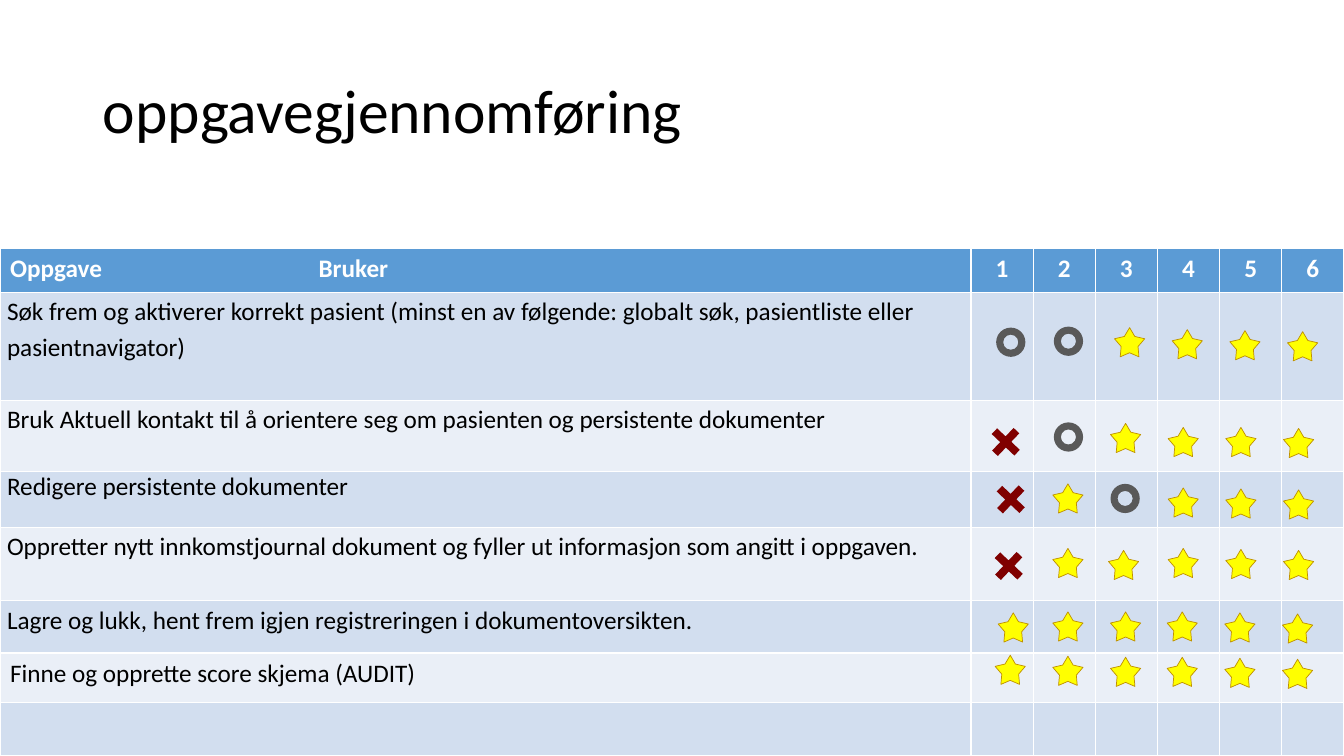
from dataclasses import dataclass

from lxml.etree import SubElement
from pptx import Presentation
from pptx.dml.color import RGBColor
from pptx.enum.shapes import MSO_SHAPE
from pptx.enum.text import MSO_ANCHOR, PP_ALIGN
from pptx.oxml.ns import qn
from pptx.util import Inches, Pt


@dataclass(frozen=True)
class Theme:
    font: str = "Calibri"
    title: int = 44
    body: int = 18
    ink: str = "000000"
    white: str = "FFFFFF"
    head: str = "5B9BD5"
    bands: tuple = ("EAEFF7", "D2DEEF")
    star: str = "FFFF00"
    edge: str = "BF9000"
    ring: str = "595959"
    cross: str = "800000"


THEME = Theme()
WIDE, HIGH = 13.33, 7.5
USERS = 6
TASK_WIDE = 9.63
TABLE_TOP = 2.46
ROWS = (0.44, 1.07, 0.71, 0.55, 0.73, 0.52, 0.49, 0.53)
MARK_LEFT, MARK_STEP = 9.87, 0.572

# Text, line spacing, side inset, top inset
TASKS = (
    ("Søk frem og aktiverer korrekt pasient (minst en av følgende: "
     "globalt søk, pasientliste eller pasientnavigator)", 1.15, 0.07, 0),
    ("Bruk Aktuell kontakt til å orientere seg om pasienten og "
     "persistente dokumenter", 1.15, 0.07, 0),
    ("Redigere persistente dokumenter", 1, 0.07, 0),
    ("Oppretter nytt innkomstjournal dokument og fyller ut informasjon "
     "som angitt i oppgaven.", 1.15, 0.07, 0),
    ("Lagre og lukk, hent frem igjen registreringen i "
     "dokumentoversikten.", 1.15, 0.07, 0),
    ("Finne og opprette score skjema (AUDIT)", 1, 0.1, 0.05),
)

# Marks by user (o ring, x cross, * star), top, then nudges right and
# down in hundredths of an inch
MARKS = (
    ("oo****", 3.24, (1, 1, 4, 4, 4, 4), (1, 0, 1, 3, 4, 5)),
    ("xo****", 4.19, (-5, 1, 0, 0, 0, 0), (4, 0, 1, 5, 5, 6)),
    ("x*o***", 4.80, (0, 0, 0, 0, 0, 0), (0, 0, 0, 4, 5, 6)),
    ("x*****", 5.44, (-2, 0, -2, 0, 0, 0), (2, 0, 2, 0, 1, 2)),
    ("******", 6.07, (3, 0, 0, -1, -1, -1), (1, 0, 0, 0, 1, 2)),
    ("******", 6.50, (0, 0, 0, -1, -1, -1), (0, 1, 2, 2, 3, 4)),
)

# Preset, width, height, adjustment, turn, fill, line
KINDS = {
    "o": (MSO_SHAPE.DONUT, 0.29, 0.29, 0.242, 0, THEME.ring, None),
    "x": (MSO_SHAPE.CROSS, 0.31, 0.31, 0.374, 43.5, THEME.cross, None),
    "*": (MSO_SHAPE.STAR_5_POINT, 0.3, 0.29, 0.279, 0, THEME.star, THEME.edge),
}


def paint(fill, hue):
    fill.solid()
    fill.fore_color.rgb = RGBColor.from_string(hue)


def write(para, text, size, hue, bold=False):
    run = para.add_run()
    run.text = text
    run.font.name = THEME.font
    run.font.size = Pt(size)
    run.font.bold = bold
    run.font.color.rgb = RGBColor.from_string(hue)


def add_title(slide, text):
    title = slide.shapes.title
    title.left, title.top = Inches(0.92), Inches(0.4)
    title.width, title.height = Inches(11.5), Inches(1.45)
    title.text_frame.vertical_anchor = MSO_ANCHOR.MIDDLE
    para = title.text_frame.paragraphs[0]
    para.alignment = PP_ALIGN.LEFT
    para.line_spacing = 0.9
    write(para, text, THEME.title, THEME.ink)


def set_tab(para, place):
    stops = SubElement(para._p.get_or_add_pPr(), qn("a:tabLst"))
    SubElement(stops, qn("a:tab"), pos=str(Inches(place)), algn="l")


def fill_head(table):
    names = ["Oppgave\tBruker"] + [str(n + 1) for n in range(USERS)]
    for col, name in enumerate(names):
        para = table.cell(0, col).text_frame.paragraphs[0]
        if col:
            para.alignment = PP_ALIGN.CENTER
        else:
            set_tab(para, 3.06)
        write(para, name, THEME.body, THEME.white, True)


def fill_tasks(table):
    for row, (text, gap, side, top) in enumerate(TASKS, 1):
        cell = table.cell(row, 0)
        cell.margin_left = cell.margin_right = Inches(side)
        cell.margin_top = cell.margin_bottom = Inches(top)
        para = cell.text_frame.paragraphs[0]
        para.line_spacing = gap
        write(para, text, THEME.body, THEME.ink)


def add_grid(slide):
    table = slide.shapes.add_table(
        len(ROWS), USERS + 1, 0, Inches(TABLE_TOP),
        Inches(WIDE), Inches(HIGH - TABLE_TOP)).table
    table.columns[0].width = Inches(TASK_WIDE)
    for col in range(1, USERS + 1):
        table.columns[col].width = Inches((WIDE - TASK_WIDE) / USERS)
    for num, high in enumerate(ROWS):
        table.rows[num].height = Inches(high)
        for cell in table.rows[num].cells:
            paint(cell.fill, THEME.bands[num % 2] if num else THEME.head)
    fill_head(table)
    fill_tasks(table)


def add_mark(slide, kind, left, top):
    preset, wide, high, adjust, turn, fill, line = KINDS[kind]
    mark = slide.shapes.add_shape(
        preset, Inches(left), Inches(top), Inches(wide), Inches(high))
    mark.adjustments[0] = adjust
    mark.rotation = turn
    mark.shadow.inherit = False
    paint(mark.fill, fill)
    if line:
        paint(mark.line.fill, line)
        mark.line.width = Pt(0.5)
    else:
        mark.line.fill.background()


def add_marks(slide):
    for kinds, top, rights, downs in MARKS:
        for col, (kind, right, down) in enumerate(zip(kinds, rights, downs)):
            left = MARK_LEFT + col * MARK_STEP + right / 100
            add_mark(slide, kind, left, top + down / 100)


def main():
    deck = Presentation()
    deck.slide_width, deck.slide_height = Inches(WIDE), Inches(HIGH)
    slide = deck.slides.add_slide(deck.slide_layouts.get_by_name("Title Only"))
    add_title(slide, "oppgavegjennomføring")
    add_grid(slide)
    add_marks(slide)
    deck.save("out.pptx")


if __name__ == "__main__":
    main()
